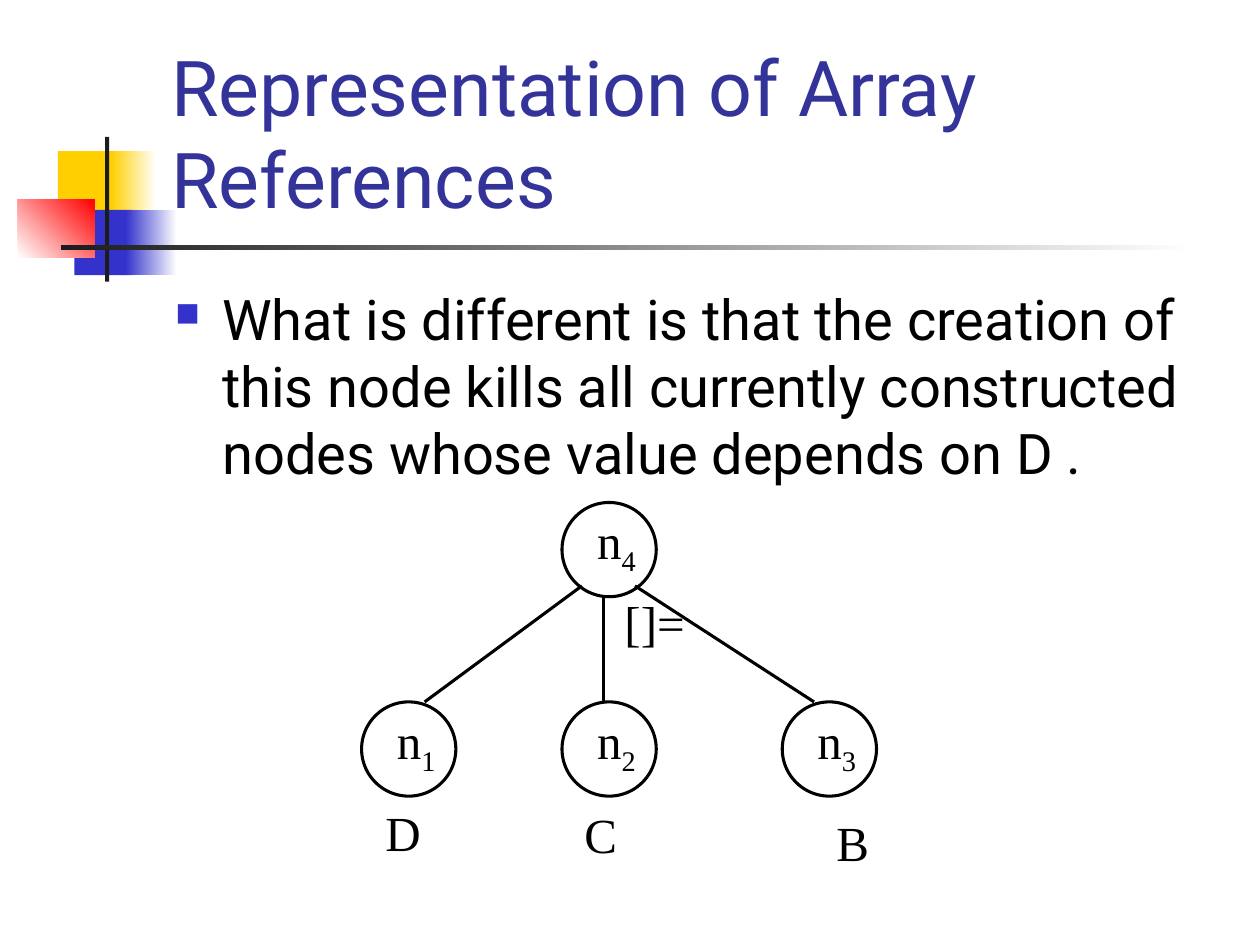
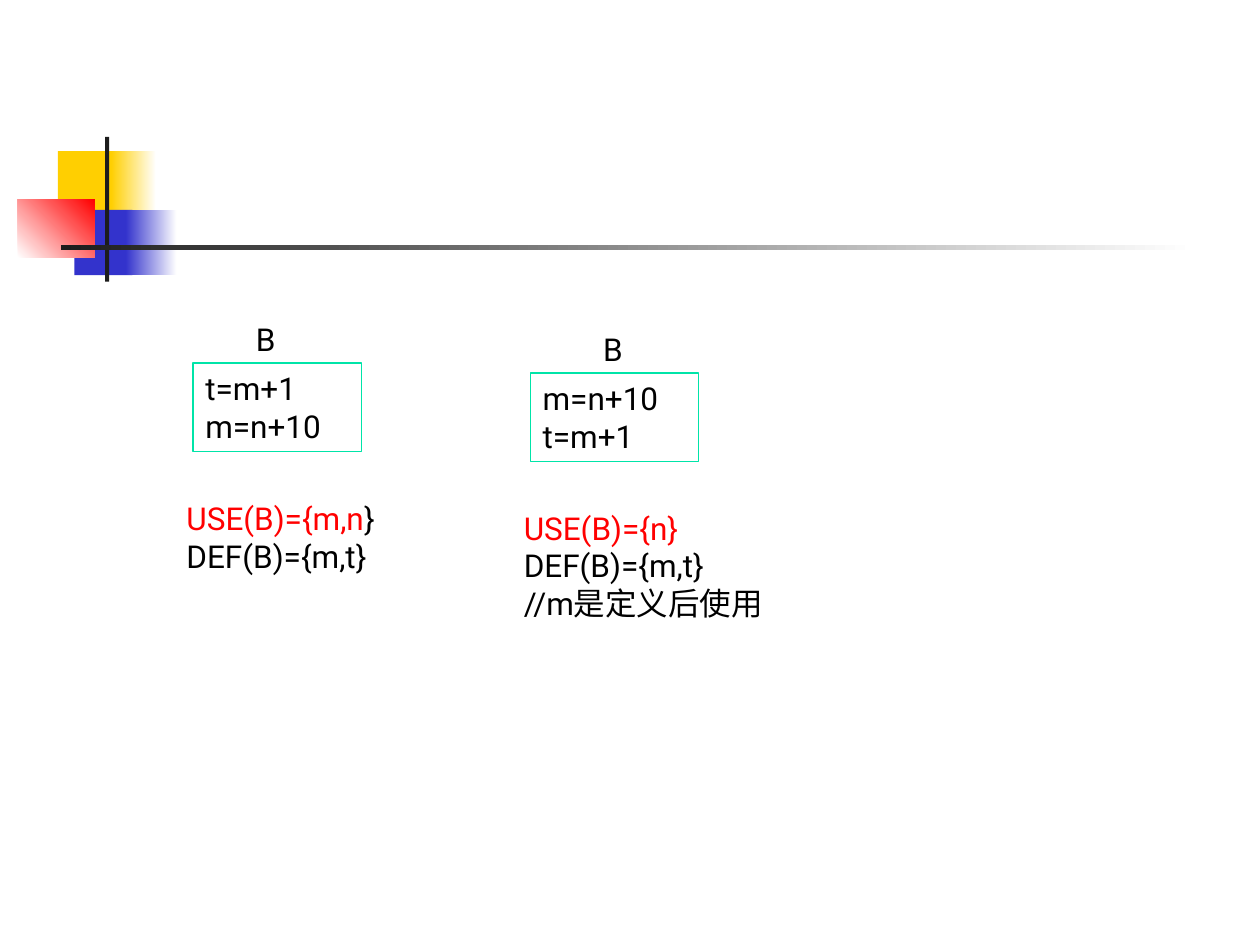
from lxml import etree
from pptx import Presentation
from pptx.dml.color import RGBColor
from pptx.enum.shapes import MSO_CONNECTOR, MSO_SHAPE
from pptx.enum.text import MSO_ANCHOR, PP_ALIGN
from pptx.oxml.ns import qn
from pptx.util import Cm, Pt

RECTANGLE = MSO_SHAPE.RECTANGLE
OVAL = MSO_SHAPE.OVAL
STRAIGHT = MSO_CONNECTOR.STRAIGHT
LEFT = PP_ALIGN.LEFT
TOP = MSO_ANCHOR.TOP
BOTTOM = MSO_ANCHOR.BOTTOM

SANS = "Roboto"
SERIF = "Times New Roman"
BLACK, WHITE, RED = "000000", "FFFFFF", "FF0000"
YELLOW, BLUE, DARK = "FFCF01", "3333CC", "1C1C1C"
TITLE_BLUE, GREEN = "333399", "00E4A8"


def rgb(value):
    return RGBColor.from_string(value)


def add_text(slide, box, paragraphs, font, size):
    shape = slide.shapes.add_textbox(*[Cm(length) for length in box])
    frame = shape.text_frame
    frame.word_wrap = True
    frame.vertical_anchor = TOP
    for index, runs in enumerate(paragraphs):
        paragraph = frame.add_paragraph() if index else frame.paragraphs[0]
        paragraph.font.name = font
        paragraph.font.size = Pt(size)
        paragraph.font.color.rgb = rgb(BLACK)
        for text, color in runs:
            run = paragraph.add_run()
            run.text = text
            if color != BLACK:
                run.font.color.rgb = rgb(color)
    return shape


presentation = Presentation()
presentation.slide_width = Cm(25.4)
presentation.slide_height = Cm(19.05)
array_slide = presentation.slides.add_slide(presentation.slide_layouts[5])
use_def_slide = presentation.slides.add_slide(presentation.slide_layouts[6])

bands = [
    (1.17, 3.05, 1.22, 1.32, [YELLOW], 0),
    (2.24, 3.05, 0.91, 1.32, [YELLOW, WHITE], 0),
    (1.5, 4.23, 1.17, 1.32, [BLUE], 0),
    (2.54, 4.23, 1.02, 1.32, [BLUE, WHITE], 0),
    (0.36, 4.02, 1.55, 1.17, [WHITE, RED], 45),
    (2.12, 2.76, 0.08, 2.92, [DARK], 0),
    (1.23, 4.94, 22.86, 0.1, [DARK, WHITE], 0),
]
master_tree = presentation.slide_master.shapes.element
for index, (left, top, width, height, colors, angle) in enumerate(bands):
    band = array_slide.shapes.add_shape(RECTANGLE, Cm(left), Cm(top), Cm(width), Cm(height))
    band.shadow.inherit = False
    band.line.fill.background()
    if len(colors) == 1:
        band.fill.solid()
        band.fill.fore_color.rgb = rgb(colors[0])
    else:
        band.fill.gradient()
        band.fill.gradient_angle = angle
        for stop, color in zip(band.fill.gradient_stops, colors):
            stop.color.rgb = rgb(color)
    band.element.nvSpPr.cNvPr.set("id", str(100 + index))
    master_tree.insert(2 + index, band.element)

title = array_slide.shapes.title
title.left, title.top, title.width, title.height = Cm(3.2), Cm(0.58), Cm(21.64), Cm(4.06)
title.text_frame.text = "Representation of Array References"
title.text_frame.vertical_anchor = BOTTOM
paragraph = title.text_frame.paragraphs[0]
paragraph.alignment = LEFT
paragraph.font.name = SANS
paragraph.font.size = Pt(44)
paragraph.font.color.rgb = rgb(TITLE_BLUE)

statement = (
    "What is different is that the creation of this node kills all "
    "currently constructed nodes whose value depends on D ."
)
body = array_slide.shapes.add_textbox(Cm(3.28), Cm(5.61), Cm(21.59), Cm(11.43))
body.text_frame.word_wrap = True
body.text_frame.text = statement
paragraph = body.text_frame.paragraphs[0]
properties = paragraph._p.get_or_add_pPr()
properties.set("marL", str(Cm(0.95)))
properties.set("indent", str(Cm(-0.95)))
bullet_color = etree.SubElement(properties, qn("a:buClr"))
etree.SubElement(bullet_color, qn("a:srgbClr"), val=BLUE)
etree.SubElement(properties, qn("a:buSzPct"), val="60000")
etree.SubElement(properties, qn("a:buChar"), char="■")
paragraph.font.name = SANS
paragraph.font.size = Pt(32)
paragraph.font.color.rgb = rgb(BLACK)

node_size = 1.9
child_top = 14.15
nodes = [
    ("1", 7.29, child_top),
    ("2", 11.33, child_top),
    ("3", 15.77, child_top),
    ("4", 11.33, 10.13),
]
for number, left, top in nodes:
    node = array_slide.shapes.add_shape(OVAL, Cm(left), Cm(top), Cm(node_size), Cm(node_size))
    node.shadow.inherit = False
    node.fill.solid()
    node.fill.fore_color.rgb = rgb(WHITE)
    node.line.color.rgb = rgb(BLACK)
    node.line.width = Pt(1.75)
    box = (left + 0.46, top + 0.04, 1.6, 1.6)
    label = add_text(array_slide, box, [[("n", BLACK)]], SERIF, 28)
    subscript = label.text_frame.paragraphs[0].add_run()
    subscript.text = number
    subscript._r.get_or_add_rPr().set("baseline", "-25000")

edges = [(11.73, 11.81, 8.56), (12.17, 12.04, 12.17), (12.8, 11.81, 16.41)]
for start_left, start_top, end_left in edges:
    edge = array_slide.shapes.add_connector(
        STRAIGHT, Cm(start_left), Cm(start_top), Cm(end_left), Cm(child_top)
    )
    edge.line.color.rgb = rgb(BLACK)
    edge.line.width = Pt(1.75)
    etree.SubElement(edge.element.spPr, qn("a:effectLst"))

node_labels = [
    ("D", 7.52, 16.05),
    ("C", 11.53, 16.1),
    ("B", 16.61, 16.26),
    ("[]=", 12.34, 11.81),
]
for text, left, top in node_labels:
    add_text(array_slide, (left, top, 2, 1.45), [[(text, BLACK)]], SERIF, 28)

blocks = [
    (
        3.89, 7.32, 1.02, 4.39,
        ["t=m+1", "m=n+10"],
        [[("USE(B)={m,n", RED), ("}", BLACK)], [("DEF(B)={m,t}", BLACK)]],
    ),
    (
        10.69, 7.52, 1.22, 5.41,
        ["m=n+10", "t=m+1"],
        [[("USE(B)={n}", RED)], [("DEF(B)={m,t}", BLACK)], [("//m是定义后使用", BLACK)]],
    ),
]
for left, top, name_offset, sets_width, code, sets in blocks:
    code_lines = [[(line, BLACK)] for line in code]
    code_box = add_text(use_def_slide, (left, top, 3.4, 1.78), code_lines, SANS, 18)
    code_box.line.color.rgb = rgb(GREEN)
    code_box.line.width = Pt(0.75)
    add_text(use_def_slide, (left - 0.38, top + 2.61, sets_width, 2.54), sets, SANS, 18)
    add_text(use_def_slide, (left + name_offset, top - 1, 1, 1.02), [[("B", BLACK)]], SANS, 18)

presentation.save("out.pptx")
